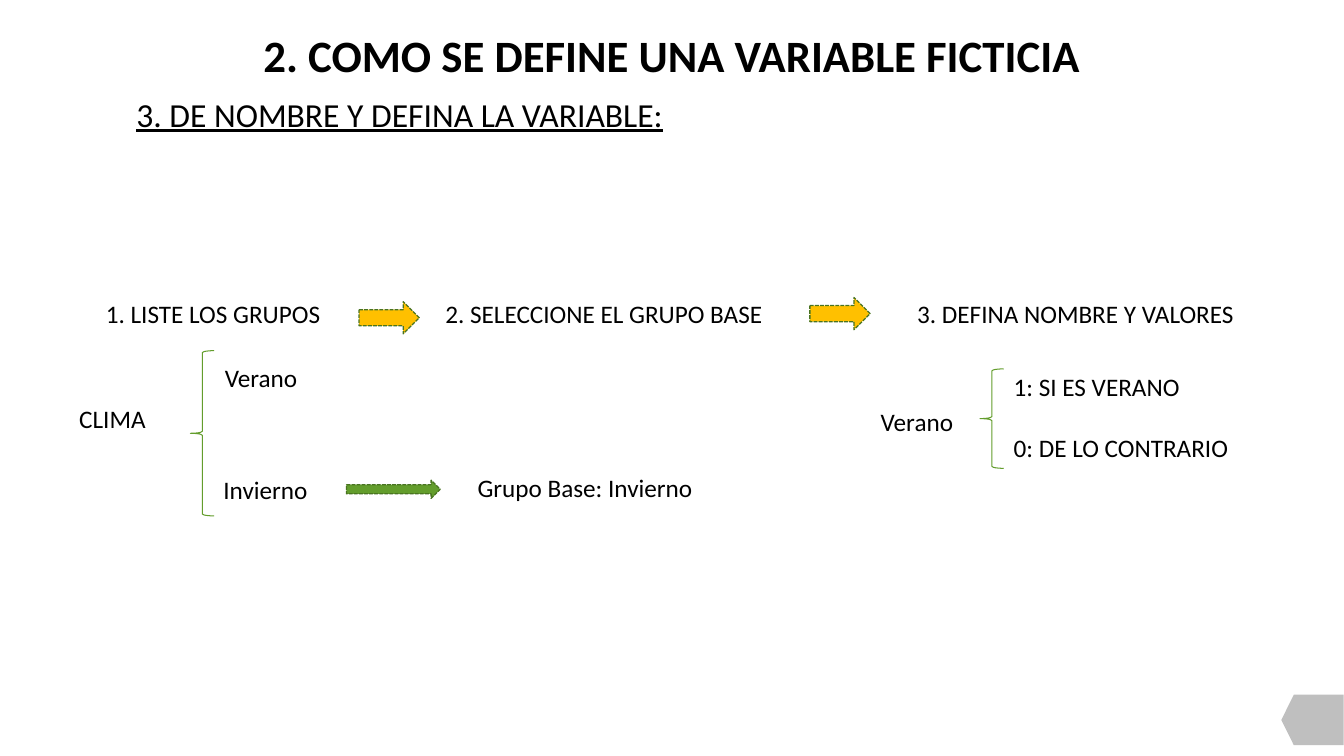
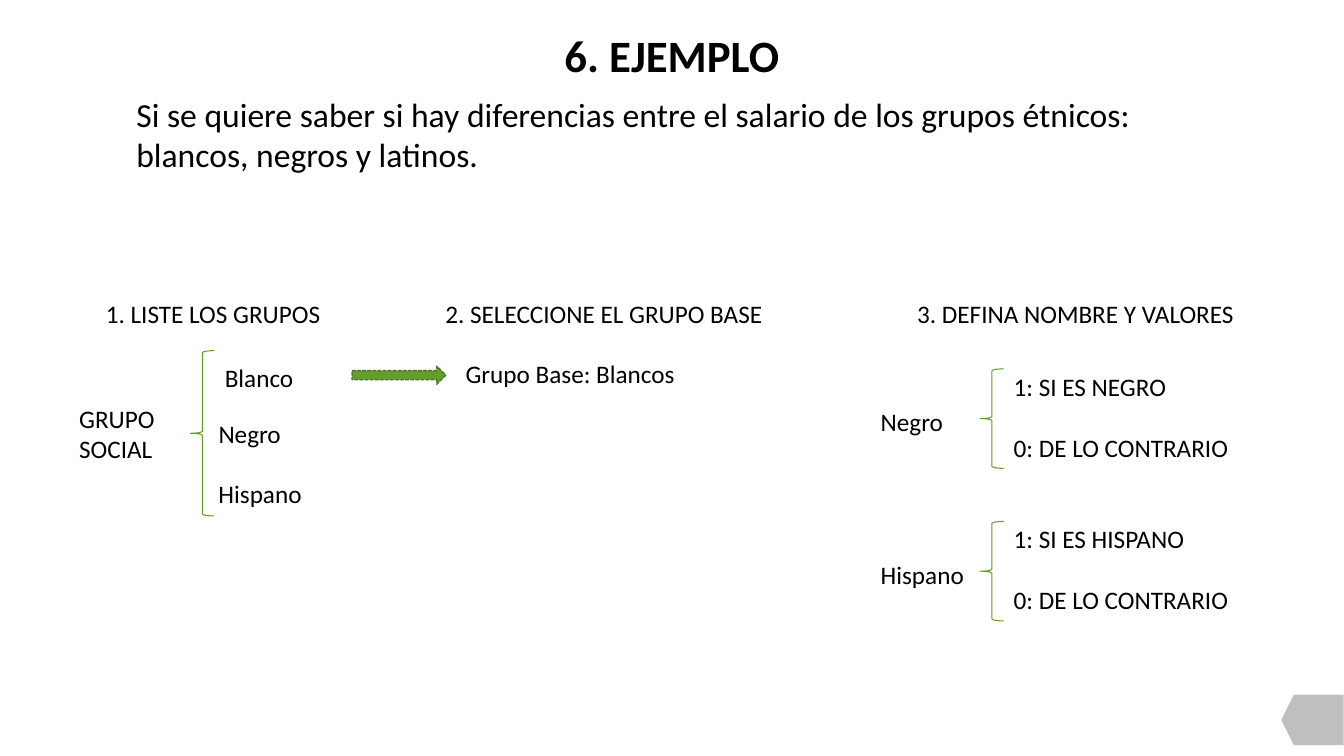
from pptx import Presentation
from pptx.dml.color import RGBColor
from pptx.enum import dml, shapes, text
from pptx.util import Pt

FONT = "Calibri"
COLORS = {"text": "000000", "green": "639D2C", "dark green": "497421",
          "amber": "FFC000", "tab": "BFBFBF"}

# Labels are (text, left, top, width)
STEPS = [
    ("1. LISTE LOS GRUPOS", 68.5, 209.5, 169),
    ("2. SELECCIONE EL GRUPO BASE", 311, 209.5, 243),
    ("3. DEFINA NOMBRE Y VALORES", 648, 209.5, 243),
]
STEP_ARROWS = [(256.5, 215.5), (578.5, 212.5)]
DEFINITION_PITCH = 109

SLIDES = [
    {
        "title": "2. COMO SE DEFINE UNA VARIABLE FICTICIA",
        "intro": "3. DE NOMBRE Y DEFINA LA VARIABLE:",
        "underline": True,
        "intro_height": 47,
        "step_arrows": STEP_ARROWS,
        "variable": ("CLIMA", 49.5, 284.5, 63),
        "groups": [("Verano", 153.5, 255.5, 67), ("Invierno", 152.5, 335, 76)],
        "base": ("Grupo Base: Invierno", 334, 334, 170),
        "base_arrow": (247.5, 343),
        "definitions": [("Verano", 67)],
    },
    {
        "title": "6. EJEMPLO",
        "intro": "Si se quiere saber si hay diferencias entre el salario de los "
                 "grupos étnicos: blancos, negros y latinos.",
        "underline": False,
        "intro_height": 67,
        "step_arrows": [],
        "variable": ("GRUPO\nSOCIAL", 49.5, 284.5, 69),
        "groups": [("Blanco", 153.5, 255.5, 64), ("Negro", 149, 295, 60),
                   ("Hispano", 149, 338, 75)],
        "base": ("Grupo Base: Blancos", 325.5, 252.5, 166),
        "base_arrow": (251.5, 261.5),
        "definitions": [("Negro", 60), ("Hispano", 75)],
    },
]


def rgb(name):
    return RGBColor.from_string(COLORS[name])


def add_text(slide, lines, left, top, width, height, size=18, bold=False,
             underline=False, align=text.PP_ALIGN.LEFT, wrap=True, gap=0):
    """Add a text box with one paragraph per line, gap points apart."""
    box = slide.shapes.add_textbox(Pt(left), Pt(top), Pt(width), Pt(height))
    frame = box.text_frame
    frame.word_wrap = wrap
    for index, line in enumerate(lines):
        paragraph = frame.paragraphs[0] if index == 0 else frame.add_paragraph()
        paragraph.alignment = align
        paragraph.space_before = Pt(gap if index else 0)
        run = paragraph.add_run()
        run.text = line
        run.font.name = FONT
        run.font.size = Pt(size)
        run.font.bold = bold
        run.font.underline = underline
        run.font.color.rgb = rgb("text")
    return frame


def add_label(slide, label, left, top, width, gap=0):
    lines = label.split("\n")
    height = 7 + 22 * len(lines) + gap * (len(lines) - 1)
    frame = add_text(slide, lines, left, top, width, height, wrap=False, gap=gap)
    frame.auto_size = text.MSO_AUTO_SIZE.SHAPE_TO_FIT_TEXT


def add_preset(slide, preset, left, top, width, height, fill=None, line=None,
               line_width=0.75):
    shape = slide.shapes.add_shape(preset, Pt(left), Pt(top), Pt(width), Pt(height))
    shape.shadow.inherit = False
    if fill:
        shape.fill.solid()
        shape.fill.fore_color.rgb = rgb(fill)
    else:
        shape.fill.background()
    if line:
        shape.line.color.rgb = rgb(line)
        shape.line.width = Pt(line_width)
    else:
        shape.line.fill.background()
    return shape


def add_arrow(slide, left, top, width, height, fill):
    arrow = add_preset(slide, shapes.MSO_SHAPE.RIGHT_ARROW, left, top, width,
                       height, fill, "dark green", 0.9)
    arrow.line.dash_style = dml.MSO_LINE.SQUARE_DOT


def add_brace(slide, left, top, height):
    add_preset(slide, shapes.MSO_SHAPE.LEFT_BRACE, left, top, 17, height,
               line="green")


def add_frame(slide, content):
    """Add what every slide shares: corner tab, title, intro and step headings."""
    tab = add_preset(slide, shapes.MSO_SHAPE.FLOWCHART_OFFPAGE_CONNECTOR,
                     919.5, 492, 36, 44.5, fill="tab")
    tab.rotation = 90
    add_text(slide, [content["title"]], 136, 16.5, 688, 46, size=32, bold=True,
             align=text.PP_ALIGN.CENTER)
    intro = add_text(slide, [content["intro"]], 88, 62, 755,
                     content["intro_height"], size=24,
                     underline=content["underline"])
    intro.margin_left = intro.margin_right = Pt(9.4)
    intro.margin_top = intro.margin_bottom = Pt(5)
    for step in STEPS:
        add_label(slide, *step)


def add_definition(slide, name, width, offset):
    """Add a dummy variable with its two values, offset points down."""
    add_label(slide, name, 622, 287 + offset, width)
    add_brace(slide, 700, 263.5 + offset, 71)
    add_label(slide, f"1: SI ES {name.upper()}\n0: DE LO CONTRARIO",
              717, 261.5 + offset, 169, gap=22)


def build_slide(deck, content):
    slide = deck.slides.add_slide(deck.slide_layouts[6])
    add_frame(slide, content)
    for left, top in content["step_arrows"]:
        add_arrow(slide, left, top, 43, 23, "amber")
    for label in [content["variable"], *content["groups"], content["base"]]:
        add_label(slide, *label)
    add_brace(slide, 136, 250.5, 118)
    add_arrow(slide, *content["base_arrow"], 67, 13, "green")
    for index, (name, width) in enumerate(content["definitions"]):
        add_definition(slide, name, width, index * DEFINITION_PITCH)


def main():
    deck = Presentation()
    deck.slide_width, deck.slide_height = Pt(960), Pt(540)
    for content in SLIDES:
        build_slide(deck, content)
    deck.save("out.pptx")


if __name__ == "__main__":
    main()
